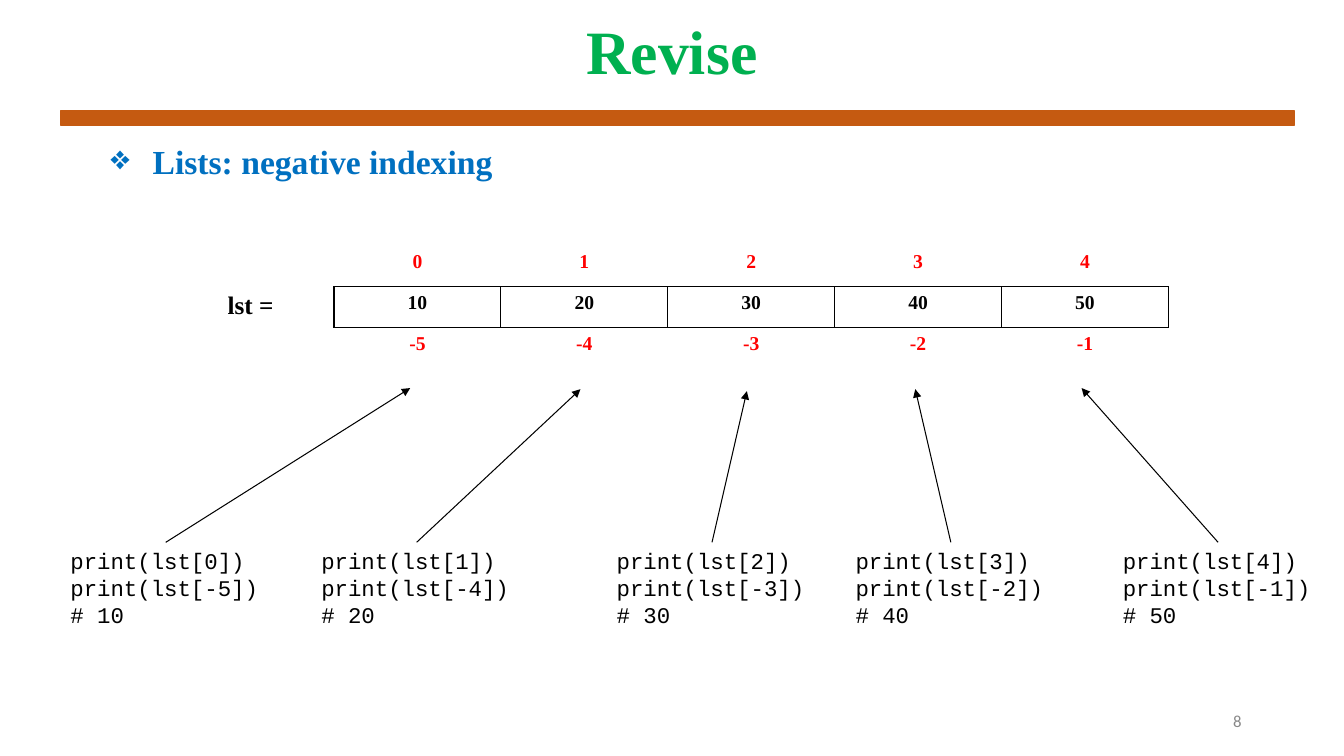
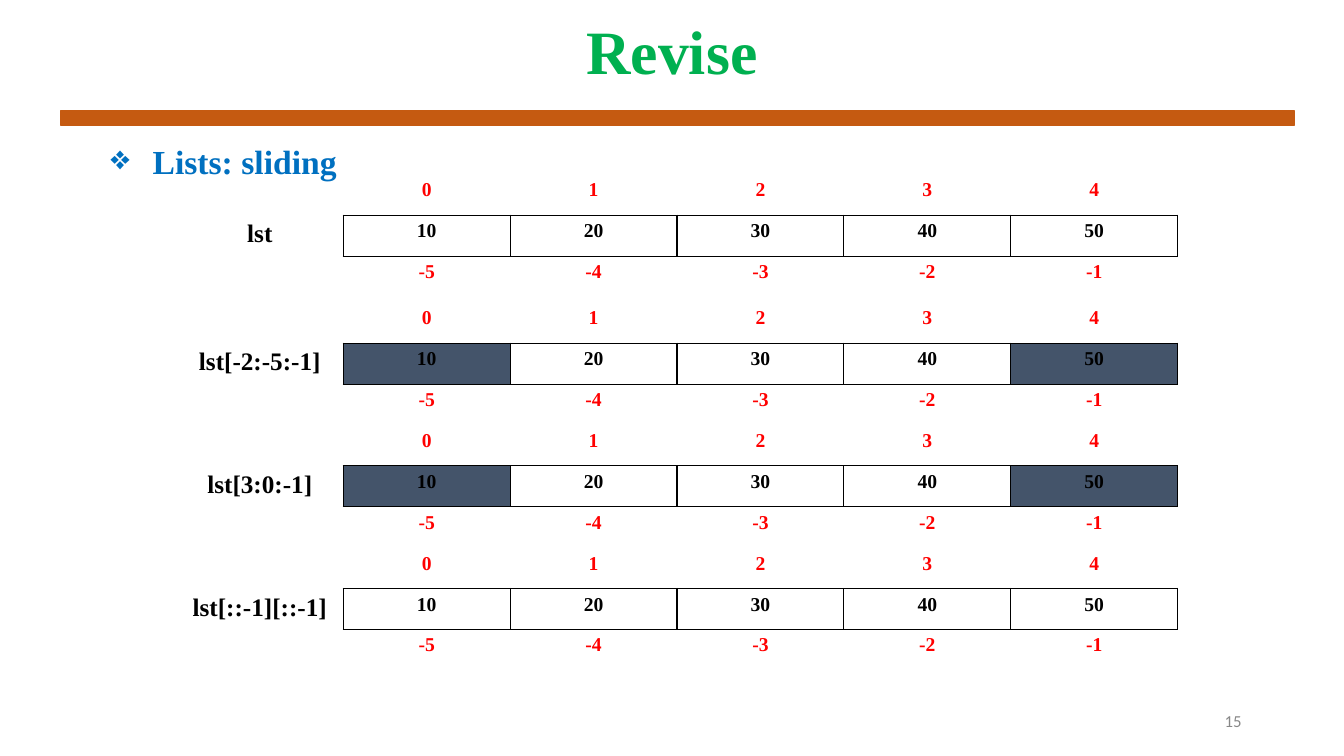
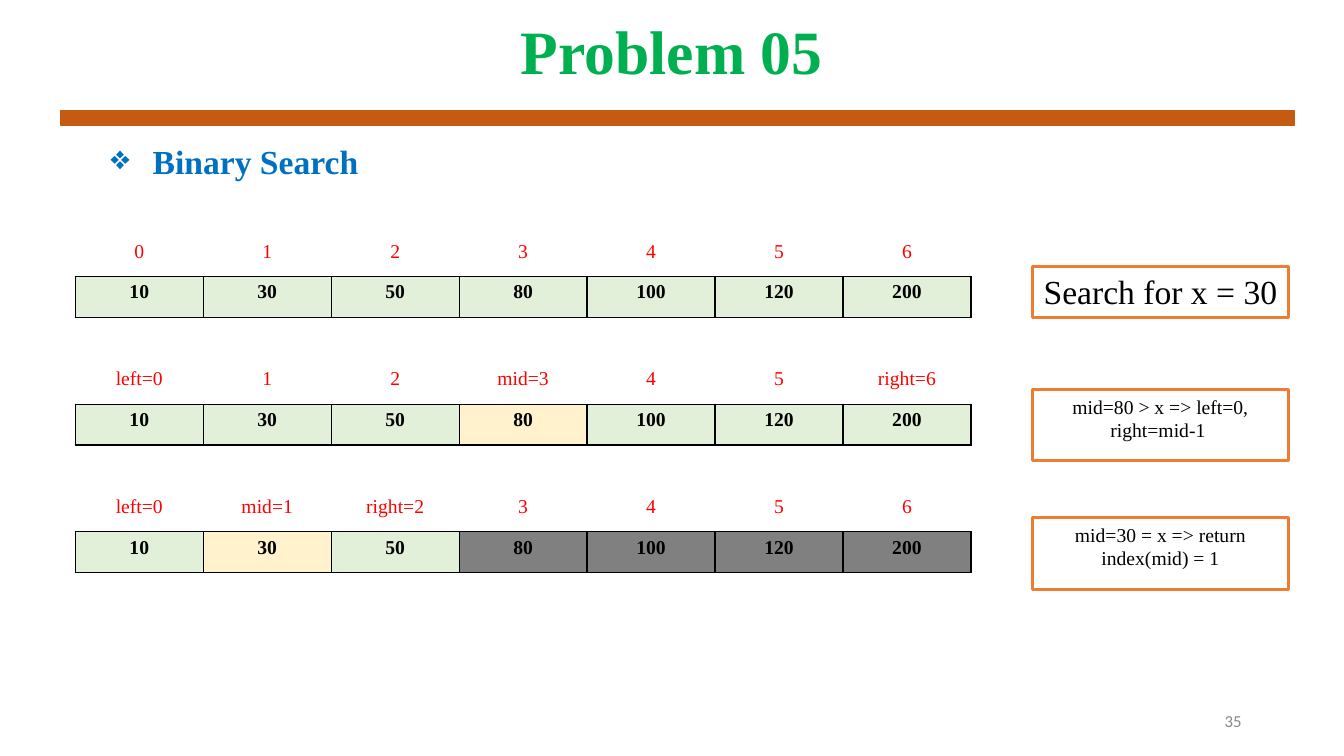
"""Build three lecture slides on list indexing, slicing and binary search."""
from lxml import etree
from pptx import Presentation
from pptx.dml.color import RGBColor
from pptx.enum.shapes import MSO_CONNECTOR, MSO_SHAPE
from pptx.enum.text import MSO_ANCHOR, MSO_AUTO_SIZE, PP_ALIGN
from pptx.oxml.ns import qn
from pptx.util import Pt

LEFT, CENTER, RIGHT = PP_ALIGN.LEFT, PP_ALIGN.CENTER, PP_ALIGN.RIGHT
MIDDLE, TOP = MSO_ANCHOR.MIDDLE, MSO_ANCHOR.TOP
RECTANGLE, STRAIGHT = MSO_SHAPE.RECTANGLE, MSO_CONNECTOR.STRAIGHT
FIXED_SIZE = MSO_AUTO_SIZE.NONE

BLACK = RGBColor(0x00, 0x00, 0x00)
RED = RGBColor(0xFF, 0x00, 0x00)
GREEN = RGBColor(0x00, 0xB0, 0x50)
BLUE = RGBColor(0x00, 0x70, 0xC0)
RUST = RGBColor(0xC5, 0x5A, 0x11)
ORANGE = RGBColor(0xED, 0x7D, 0x31)
SLATE = RGBColor(0x44, 0x54, 0x6A)
PALE_GREEN = RGBColor(0xE2, 0xF0, 0xD9)
PALE_YELLOW = RGBColor(0xFF, 0xF2, 0xCC)
GRAY = RGBColor(0x80, 0x80, 0x80)
NUMBER_GRAY = RGBColor(0x88, 0x88, 0x88)

SERIF, MONO, SANS = "Times New Roman", "Courier New", "Calibri"
PLAIN_TABLE_STYLE = "{2D5ABB26-0587-4C30-8999-92F81FD0307C}"
ROW_HEIGHT = 29.2


def add_run(paragraph, text, font, size, colour, bold=False, align=LEFT):
    paragraph.alignment = align
    run = paragraph.add_run()
    run.text = text
    run.font.name = font
    run.font.size = Pt(size)
    run.font.bold = bold
    run.font.color.rgb = colour


def add_array(slide, left, top, column_width, rows, fills, bold_indexes):
    columns = len(rows[0])
    table = slide.shapes.add_table(
        len(rows), columns, Pt(left), Pt(top),
        Pt(columns * column_width), Pt(len(rows) * ROW_HEIGHT)).table
    table.first_row = table.horz_banding = False
    table._tbl.tblPr.find(qn("a:tableStyleId")).text = PLAIN_TABLE_STYLE
    for r, row in enumerate(rows):
        is_value_row = r == 1
        for c, text in enumerate(row):
            cell = table.cell(r, c)
            fill = fills[c] if is_value_row else None
            is_label = is_value_row and text.startswith("lst")
            if is_value_row and not is_label:
                properties = cell._tc.get_or_add_tcPr()
                for side in ("a:lnL", "a:lnR", "a:lnT", "a:lnB"):
                    border = etree.SubElement(properties, qn(side), w=str(Pt(1)))
                    solid = etree.SubElement(border, qn("a:solidFill"))
                    etree.SubElement(solid, qn("a:srgbClr"), val=str(BLACK))
            if fill:
                cell.fill.solid()
                cell.fill.fore_color.rgb = fill
            else:
                cell.fill.background()
            if text:
                add_run(cell.text_frame.paragraphs[0], text, SERIF,
                        18 if is_label else 14,
                        BLACK if is_value_row else RED,
                        is_value_row or bold_indexes, CENTER)


deck = Presentation()
deck.slide_width, deck.slide_height = Pt(960), Pt(540)

slides = []
for title_text, topic_text, number in (
        ("Revise", "Lists: negative indexing", 8),
        ("Revise", "Lists: sliding", 15),
        ("Problem 05", "Binary Search", 35)):
    slide = deck.slides.add_slide(deck.slide_layouts[5])
    slides.append(slide)

    title = slide.shapes.title
    title.left, title.top, title.width, title.height = Pt(66), Pt(0), Pt(828), Pt(78.5)
    title.text_frame.auto_size = FIXED_SIZE
    title.text_frame.vertical_anchor = MIDDLE
    title_line = title.text_frame.paragraphs[0]
    title_line.line_spacing = 0.9
    add_run(title_line, title_text, SERIF, 44, GREEN, True, CENTER)

    band = slide.shapes.add_shape(RECTANGLE, Pt(43.2), Pt(79.2), Pt(881.3), Pt(10))
    band.shadow.inherit = False
    band.fill.solid()
    band.fill.fore_color.rgb = RUST
    band.line.color.rgb = RUST
    band.line.width = Pt(1)

    page_number = slide.shapes.add_textbox(Pt(678), Pt(500.5), Pt(216), Pt(28.8)).text_frame
    page_number.word_wrap = True
    page_number.vertical_anchor = MIDDLE
    add_run(page_number.paragraphs[0], str(number), SANS, 12, NUMBER_GRAY, align=RIGHT)

    topic = slide.shapes.add_textbox(Pt(66), Pt(100), Pt(840), Pt(57)).text_frame
    topic.word_wrap = True
    topic_line = topic.paragraphs[0]
    topic_line.line_spacing = 0.9
    add_run(topic_line, topic_text, SERIF, 24, BLUE, True)
    bullet = topic_line._p.get_or_add_pPr()
    bullet.set("marL", str(Pt(36)))
    bullet.set("indent", str(Pt(-30)))
    bullet_colour = etree.SubElement(bullet, qn("a:buClr"))
    etree.SubElement(bullet_colour, qn("a:srgbClr"), val=str(BLUE))
    etree.SubElement(bullet, qn("a:buChar"), char="❖")

indexing, slicing, search = slides

values = [10, 20, 30, 40, 50]
size = len(values)
indexes = [""] + [str(i) for i in range(size)]
negatives = [""] + [str(i - size) for i in range(size)]
value_texts = [str(value) for value in values]
no_fills = [None] * (size + 1)
ends_dark = [None, SLATE, None, None, None, SLATE]

add_array(indexing, 119.4, 175.6, 119.2,
          [indexes, ["lst ="] + value_texts, negatives], no_fills, True)

for i, (left, tip_x, tip_y) in enumerate((
        (43.2, 293, 277.2), (222.4, 414.6, 278), (433.4, 533.5, 279.4),
        (604, 653.8, 278), (794.9, 772.6, 277.2))):
    code = indexing.shapes.add_textbox(Pt(left), Pt(387.4), Pt(150.5), Pt(65.5)).text_frame
    code.word_wrap = False
    for n, line in enumerate((f"print(lst[{i}])", f"print(lst[{i - size}])", f"# {values[i]}")):
        paragraph = code.add_paragraph() if n else code.paragraphs[0]
        add_run(paragraph, line, MONO, 16, BLACK)

    arrow = indexing.shapes.add_connector(
        STRAIGHT, Pt(left + 75.2), Pt(387.4), Pt(tip_x), Pt(tip_y))
    arrow.line.color.rgb = BLACK
    arrow.line.width = Pt(0.75)
    arrow_properties = arrow._element.spPr
    etree.SubElement(arrow_properties.find(qn("a:ln")), qn("a:tailEnd"), type="triangle")
    etree.SubElement(arrow_properties, qn("a:effectLst"))

for top, label, fills in (
        (124.6, "lst", no_fills),
        (216, "lst[-2:-5:-1]", ends_dark),
        (303.6, "lst[3:0:-1]", ends_dark),
        (391.2, "lst[::-1][::-1]", no_fills)):
    add_array(slicing, 126, top, 119.2,
              [indexes, [label] + value_texts, negatives], fills, True)

sorted_values = ["10", "30", "50", "80", "100", "120", "200"]
for step, (markers, fills) in enumerate((
        (["0", "1", "2", "3", "4", "5", "6"], [PALE_GREEN] * 7),
        (["left=0", "1", "2", "mid=3", "4", "5", "right=6"],
         [PALE_GREEN] * 3 + [PALE_YELLOW] + [PALE_GREEN] * 3),
        (["left=0", "mid=1", "right=2", "3", "4", "5", "6"],
         [PALE_GREEN, PALE_YELLOW, PALE_GREEN] + [GRAY] * 4))):
    add_array(search, 53.8, 168.3 + 91.2 * step, 91.4,
              [markers, sorted_values], fills, False)

for top, height, text, text_size, wraps in (
        (190.2, 36.3, "Search for x = 30", 24, False),
        (278.2, 51, "mid=80 > x => left=0, right=mid-1 ", 14, True),
        (369.8, 51, "mid=30 = x => return index(mid) = 1", 14, True)):
    note = search.shapes.add_shape(RECTANGLE, Pt(737.4), Pt(top), Pt(183), Pt(height))
    note.shadow.inherit = False
    note.fill.background()
    note.line.color.rgb = ORANGE
    note.line.width = Pt(2.25)
    note.text_frame.word_wrap = wraps
    note.text_frame.vertical_anchor = TOP
    add_run(note.text_frame.paragraphs[0], text, SERIF, text_size, BLACK, align=CENTER)

deck.save("out.pptx")
